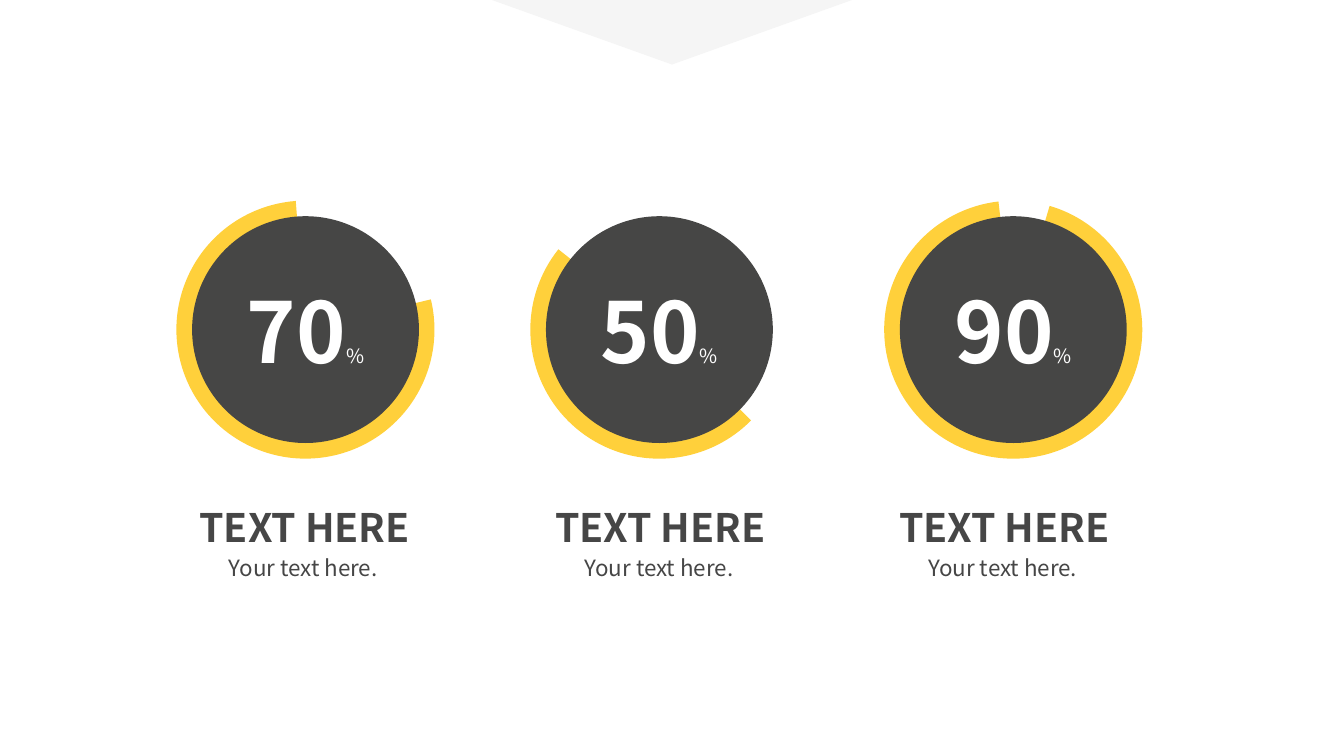
import pptx
import pptx.util
import pptx.dml.color
import pptx.enum.shapes
import pptx.enum.text
from dataclasses import dataclass

Inches = pptx.util.Inches
SHAPES = pptx.enum.shapes.MSO_SHAPE
ALIGN = pptx.enum.text.PP_ALIGN
ANCHOR = pptx.enum.text.MSO_ANCHOR
AUTO_SIZE = pptx.enum.text.MSO_AUTO_SIZE

# Arc angles are in degrees; caption_x is the left edge of the heading box.
GAUGES = [
    dict(value="70", heading="TEXT HERE", detail="Your text here.",
         arc_start=55.74, rotation=290.7, caption_x=1.88),
    dict(value="50", heading="TEXT HERE", detail="Your text here.",
         arc_start=161.2, rotation=243.5, caption_x=5.41),
    dict(value="90", heading="TEXT HERE", detail="Your text here.",
         arc_start=357.96, rotation=288.4, caption_x=8.82),
]


@dataclass(frozen=True)
class Theme:
    font: str = "Noto Sans CJK SC"
    accent: str = "FFD03B"
    disc: str = "464645"
    ink: str = "464646"
    pale: str = "F5F5F5"
    white: str = "FFFFFF"
    value_size: int = 60
    unit_size: int = 14
    heading_size: int = 28
    detail_size: int = 16


THEME = Theme()
FIRST_CENTER, CENTER_STEP, CENTER_Y = 3.03, 3.51, 3.27
RING_SIZE, DISC_SIZE = 2.56, 2.25
ARC_END, RING_THICKNESS = 335.02, 0.069
HEADING_Y, DETAIL_Y, DETAIL_INDENT = 4.94, 5.45, 0.29


def rgb(color):
    return pptx.dml.color.RGBColor.from_string(color)


def add_text(p, text, *, size, color, bold=False):
    r = p.add_run()
    r.text = text
    r.font.name = THEME.font
    r.font.size = pptx.util.Pt(size)
    r.font.bold = bold
    r.font.color.rgb = rgb(color)


def add_filled(s, kind, x, y, w, h, color, rotation=0):
    sp = s.shapes.add_shape(kind, Inches(x), Inches(y), Inches(w), Inches(h))
    sp.shadow.inherit = False
    sp.fill.solid()
    sp.fill.fore_color.rgb = rgb(color)
    sp.line.fill.background()
    sp.rotation = rotation
    return sp


def add_centered(s, kind, center_x, size, color, rotation=0):
    """Add a square-framed shape centred on the row of gauges."""
    return add_filled(s, kind, center_x - size / 2, CENTER_Y - size / 2,
                      size, size, color, rotation)


def add_gauge(s, center_x, gauge):
    ring = add_centered(s, SHAPES.BLOCK_ARC, center_x, RING_SIZE,
                        THEME.accent, gauge["rotation"])
    # Angles are stored in 1/60000 degree, adjustments in 1/100000.
    ring.adjustments[0] = gauge["arc_start"] * 0.6
    ring.adjustments[1] = ARC_END * 0.6
    ring.adjustments[2] = RING_THICKNESS

    disc = add_centered(s, SHAPES.OVAL, center_x, DISC_SIZE, THEME.disc)
    tf = disc.text_frame
    tf.vertical_anchor = ANCHOR.MIDDLE
    p = tf.paragraphs[0]
    p.alignment = ALIGN.CENTER
    add_text(p, gauge["value"], size=THEME.value_size, color=THEME.white, bold=True)
    add_text(p, "%", size=THEME.unit_size, color=THEME.white)


def add_label(s, x, y, w, h, text, **style):
    sp = s.shapes.add_textbox(Inches(x), Inches(y), Inches(w), Inches(h))
    tf = sp.text_frame
    tf.word_wrap = True
    tf.auto_size = AUTO_SIZE.SHAPE_TO_FIT_TEXT
    add_text(tf.paragraphs[0], text, color=THEME.ink, **style)


def main():
    prs = pptx.Presentation()
    prs.slide_width, prs.slide_height = Inches(13.33), Inches(7.5)
    s = prs.slides.add_slide(prs.slide_layouts[6])

    for i, gauge in enumerate(GAUGES):
        add_gauge(s, FIRST_CENTER + i * CENTER_STEP, gauge)
    for gauge in GAUGES:
        x = gauge["caption_x"]
        add_label(s, x, HEADING_Y, 2.5, 0.57, gauge["heading"],
                  size=THEME.heading_size, bold=True)
        add_label(s, x + DETAIL_INDENT, DETAIL_Y, 1.79, 0.37, gauge["detail"],
                  size=THEME.detail_size)
    add_filled(s, SHAPES.ISOSCELES_TRIANGLE, 4.88, 0, 3.57, 0.64, THEME.pale, 180)

    prs.save("out.pptx")


if __name__ == "__main__":
    main()
